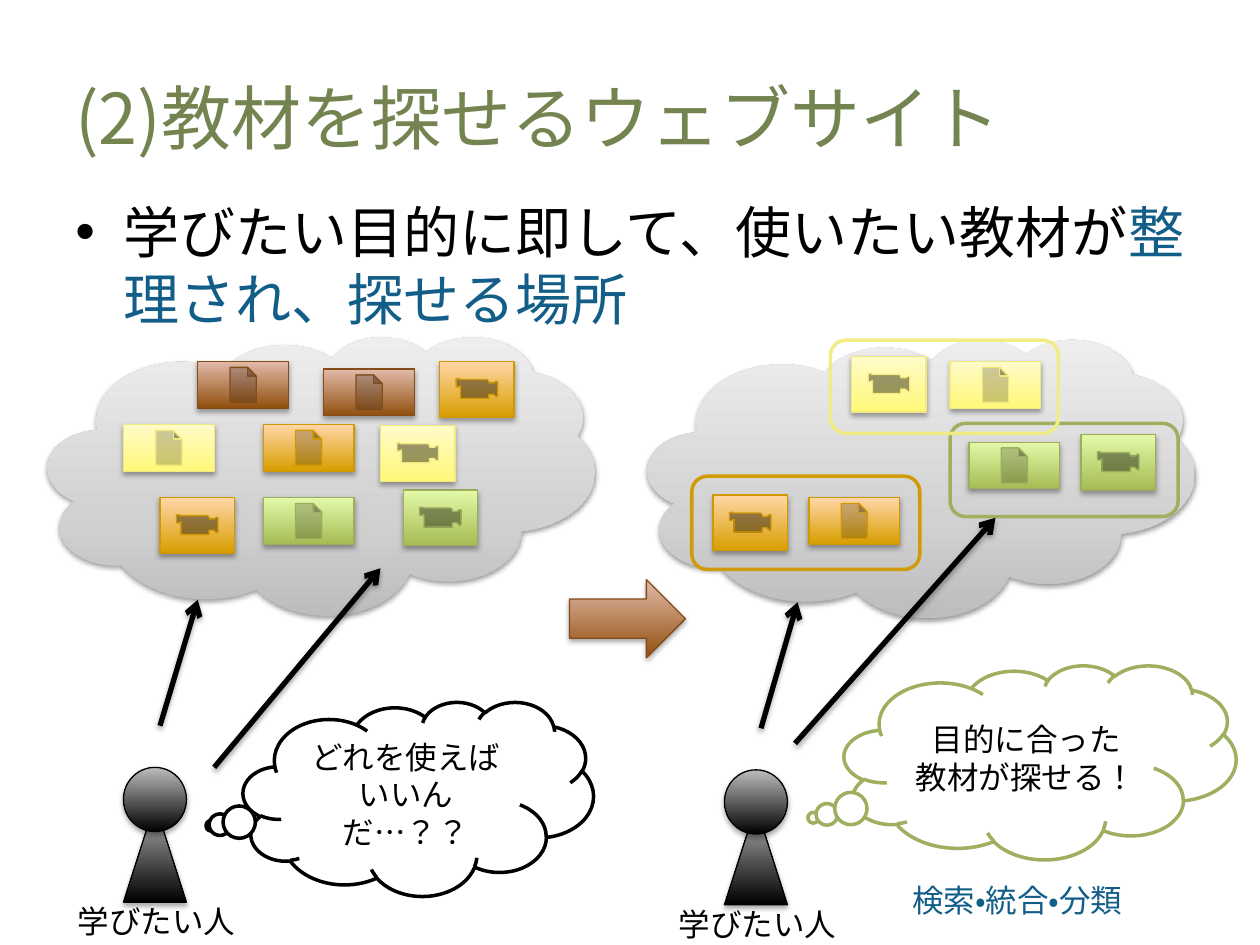
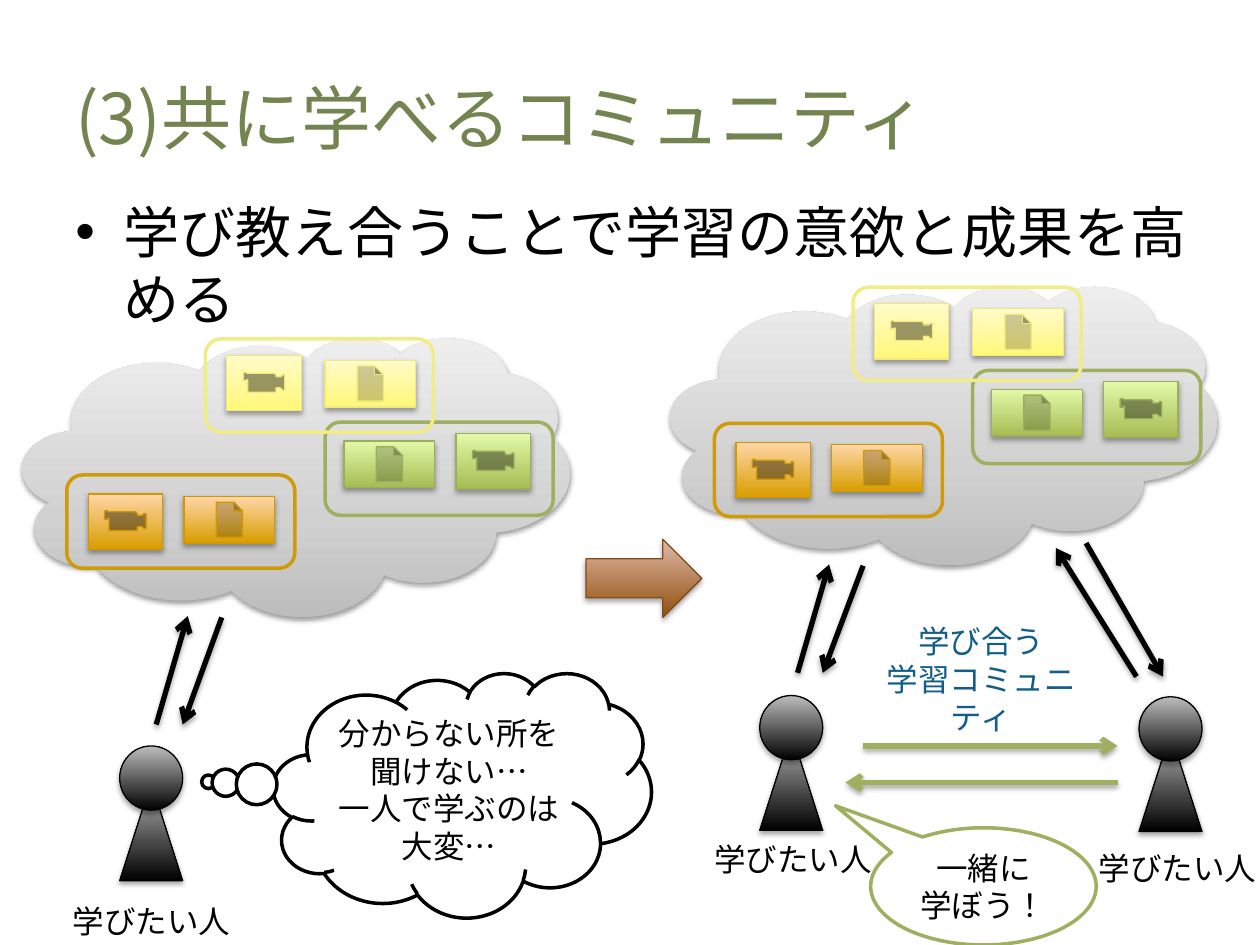
"""Build two slides on finding learning materials and learning together."""
from copy import deepcopy

from lxml import etree
from pptx import Presentation
from pptx.dml.color import RGBColor
from pptx.enum.lang import MSO_LANGUAGE_ID
from pptx.enum.shapes import MSO_CONNECTOR, MSO_SHAPE
from pptx.enum.text import MSO_ANCHOR, PP_ALIGN
from pptx.oxml.ns import qn
from pptx.util import Inches, Pt

CLOUD, CLOUD_CALLOUT = MSO_SHAPE.CLOUD, MSO_SHAPE.CLOUD_CALLOUT
OVAL_CALLOUT, BLOCK_ARROW = MSO_SHAPE.OVAL_CALLOUT, MSO_SHAPE.RIGHT_ARROW
MOVIE, DOCUMENT = MSO_SHAPE.ACTION_BUTTON_MOVIE, MSO_SHAPE.ACTION_BUTTON_DOCUMENT
TRIANGLE, OVAL, FRAME = MSO_SHAPE.ISOSCELES_TRIANGLE, MSO_SHAPE.OVAL, MSO_SHAPE.ROUNDED_RECTANGLE
STRAIGHT = MSO_CONNECTOR.STRAIGHT
LEFT, CENTER = PP_ALIGN.LEFT, PP_ALIGN.CENTER
TOP, MIDDLE = MSO_ANCHOR.TOP, MSO_ANCHOR.MIDDLE
JAPANESE = MSO_LANGUAGE_ID.JAPANESE

BLACK = RGBColor(0x00, 0x00, 0x00)
WHITE = RGBColor(0xFF, 0xFF, 0xFF)
OLIVE = RGBColor(0x73, 0x84, 0x50)
BLUE = RGBColor(0x12, 0x5E, 0x88)
LEAF = RGBColor(0x9E, 0xB0, 0x60)
AMBER = RGBColor(0xD0, 0x9A, 0x08)
LEMON = RGBColor(0xF2, 0xEC, 0x86)
SILVER = RGBColor(0xBD, 0xBD, 0xBD)
CLOUD_STOPS = [(0, SILVER), (0.35, RGBColor(0xD1, 0xD1, 0xD1)), (1, RGBColor(0xEE, 0xEE, 0xEE))]

PAINTS = {
    "green": (RGBColor(0xA5, 0xBC, 0x54), RGBColor(0xE3, 0xF9, 0xA8), RGBColor(0x9C, 0xAE, 0x5C)),
    "orange": (RGBColor(0xD8, 0x9E, 0x00), RGBColor(0xFF, 0xD6, 0xA7), RGBColor(0xD0, 0x99, 0x03)),
    "yellow": (RGBColor(0xFF, 0xF8, 0x79), RGBColor(0xFF, 0xFB, 0xC8), RGBColor(0xEF, 0xE9, 0x80)),
    "brown": (RGBColor(0x91, 0x4F, 0x0D), RGBColor(0xE1, 0xBA, 0xA9), RGBColor(0x82, 0x4D, 0x19)),
    "black": (BLACK, SILVER, BLACK),
}
HEADING_FONT, LABEL_FONT = "Noto Sans CJK JP", "Calibri"
CLOUD_SIZE, FRAME_SIZE, BLOCK_ARROW_SIZE = (4.34, 2.21), (1.81, 0.74), (0.92, 0.62)
MATERIAL_SIZES = {MOVIE: (0.59, 0.44), DOCUMENT: (0.72, 0.37)}
LEARNER = "学びたい人"

SCATTERED = [
    (MOVIE, "green", 2.82, 1.22), (DOCUMENT, "green", 1.71, 1.28),
    (MOVIE, "orange", 0.89, 1.28), (DOCUMENT, "orange", 1.71, 0.7),
    (MOVIE, "yellow", 2.64, 0.71), (DOCUMENT, "yellow", 0.6, 0.7),
    (MOVIE, "orange", 3.11, 0.2), (DOCUMENT, "brown", 2.19, 0.26),
    (DOCUMENT, "brown", 1.19, 0.2),
]
SORTED = [
    (MOVIE, "green", 3.44, 0.76), (DOCUMENT, "green", 2.55, 0.82),
    (MOVIE, "orange", 0.52, 1.24), (DOCUMENT, "orange", 1.28, 1.26),
    (MOVIE, "yellow", 1.62, 0.14), (DOCUMENT, "yellow", 2.4, 0.18),
]
FRAMES = [(AMBER, 0.35, 1.09), (LEAF, 2.4, 0.67), (LEMON, 1.45, 0.01)]

SLIDES = [
    {
        "title": "(2)教材を探せるウェブサイト",
        "body": [("学びたい目的に即して、使いたい教材が", BLACK), ("整理され、探せる場所", BLUE)],
        "clouds": [(0.38, 2.67, SCATTERED, []), (5.14, 2.69, SORTED, FRAMES)],
        "people": [(0.98, 6.09), (5.75, 6.11)],
        "arrows": [
            ((1.27, 5.76), (1.57, 4.76), BLACK), ((1.7, 6.09), (3.02, 4.51), BLACK),
            ((6.04, 5.78), (6.33, 4.78), BLACK), ((6.31, 5.9), (7.9, 4.11), BLACK),
        ],
        "callouts": [
            (CLOUD_CALLOUT, (1.93, 5.57, 2.78, 1.54), (-0.591, 0.139), BLACK,
             ["どれを使えば\nいいんだ…？？"]),
            (CLOUD_CALLOUT, (6.7, 5.28, 3.11, 1.54), (-0.579, 0.286), LEAF,
             ["目的に合った\n教材が探せる！"]),
        ],
        "labels": [
            ((0.52, 7.11, 1.59, 0.4), [LEARNER], BLACK, LEFT),
            ((5.29, 7.13, 1.59, 0.4), [LEARNER], BLACK, LEFT),
            ((7.14, 6.94, 2.67, 0.4), ["検索・統合・分類"], BLUE, LEFT),
        ],
        "block_arrow": (4.52, 4.6),
    },
    {
        "title": "(3)共に学べるコミュニティ",
        "body": [("学び教え合うことで学習の意欲と成果を高める", BLACK)],
        "clouds": [(0.18, 2.68, SORTED, FRAMES), (5.32, 2.27, SORTED, FRAMES)],
        "people": [(0.95, 5.92), (6.03, 5.52), (9.04, 5.53)],
        "arrows": [
            ((1.24, 5.75), (1.49, 4.89), BLACK), ((1.76, 4.9), (1.45, 5.75), BLACK),
            ((6.33, 5.34), (6.58, 4.48), BLACK), ((6.85, 4.49), (6.53, 5.34), BLACK),
            ((9.02, 5.37), (8.38, 4.35), BLACK), ((8.62, 4.31), (9.23, 5.37), BLACK),
            ((8.87, 6.21), (6.71, 6.21), LEAF), ((6.85, 5.92), (8.87, 5.92), LEAF),
        ],
        "callouts": [
            (CLOUD_CALLOUT, (2.17, 5.34, 3, 1.94), (-0.672, -0.054), BLACK,
             ["分からない所を聞けない…", "一人で学ぶのは大変…"]),
            (OVAL_CALLOUT, (6.91, 6.57, 1.79, 0.93), (-0.656, -0.688), LEAF,
             ["一緒に", "学ぼう！"]),
        ],
        "labels": [
            ((0.48, 7.11, 1.59, 0.4), [LEARNER], BLACK, LEFT),
            ((5.57, 6.62, 1.55, 0.4), [LEARNER], BLACK, LEFT),
            ((8.62, 6.69, 1.55, 0.4), [LEARNER], BLACK, LEFT),
            ((6.71, 4.89, 2.16, 0.71), ["学び合う", "学習コミュニティ"], BLUE, CENTER),
        ],
        "block_arrow": (4.65, 4.28),
    },
]


def add_span(para, text, size, color, font):
    span = para.add_run()
    span.text = text
    span.font.size = Pt(size)
    span.font.name = font
    span.font.color.rgb = color
    span.font.language_id = JAPANESE
    if font == HEADING_FONT:
        etree.SubElement(span.font._element, qn("a:ea"), typeface=font)


def write_lines(frame, paragraphs, color, align):
    frame.word_wrap = True
    for index, text in enumerate(paragraphs):
        para = frame.add_paragraph() if index else frame.paragraphs[0]
        para.alignment = align
        for number, line in enumerate(text.split("\n")):
            if number:
                para.add_line_break()
            add_span(para, line, 18, color, LABEL_FONT)


def add_text_box(page, at, anchor=TOP):
    frame = page.shapes.add_textbox(*map(Inches, at)).text_frame
    frame.word_wrap = True
    frame.vertical_anchor = anchor
    return frame


def add_heading(page, title, body):
    frame = add_text_box(page, (0.5, 0.3, 9, 1.25), MIDDLE)
    add_span(frame.paragraphs[0], title, 40, OLIVE, HEADING_FONT)
    para = add_text_box(page, (0.5, 1.52, 9.31, 0.99)).paragraphs[0]
    para.space_before = Pt(6.4)
    props = para._p.get_or_add_pPr()
    props.set("marL", str(Inches(0.38)))
    props.set("indent", str(-Inches(0.38)))
    etree.SubElement(props, qn("a:buFont"), typeface="Arial")
    etree.SubElement(props, qn("a:buChar"), char="•")
    for text, color in body:
        add_span(para, text, 32, color, HEADING_FONT)


def cast_shadow(shape, opacity=35, distance=1.8):
    effects = etree.SubElement(shape._element.spPr, qn("a:effectLst"))
    outer = etree.SubElement(
        effects, qn("a:outerShdw"), blurRad=str(Pt(3.1)), dist=str(Pt(distance)),
        dir="5400000", rotWithShape="0")
    tone = etree.SubElement(outer, qn("a:srgbClr"), val=str(BLACK))
    etree.SubElement(tone, qn("a:alpha"), val=str(opacity * 1000))


def fill_gradient(shape, stops):
    shape.fill.gradient()
    shape.fill.gradient_angle = 90
    stop_list = shape._element.spPr.find(".//" + qn("a:gsLst"))
    for _ in stops[2:]:
        stop_list.append(deepcopy(stop_list[-1]))
    for stop, (position, color) in zip(shape.fill.gradient_stops, stops):
        stop.position = position
        stop.color.rgb = color


def add_glossy(shapes, kind, at, paint):
    shape = shapes.add_shape(kind, *map(Inches, at))
    dark, light, edge = PAINTS[paint]
    fill_gradient(shape, [(0, dark), (1, light)])
    shape.line.color.rgb = edge
    shape.line.width = Pt(0.75)
    cast_shadow(shape)


def add_outlined(page, kind, at, color):
    shape = page.shapes.add_shape(kind, *map(Inches, at))
    shape.shadow.inherit = False
    shape.fill.background()
    shape.line.color.rgb = color
    shape.line.width = Pt(2)
    return shape


def add_cloud(page, left, top, materials, frames):
    cloud = page.shapes.add_shape(CLOUD, *map(Inches, (left, top, *CLOUD_SIZE)))
    fill_gradient(cloud, CLOUD_STOPS)
    cloud.line.fill.background()
    cast_shadow(cloud, 38, 1.6)
    for kind, paint, dx, dy in materials:
        add_glossy(page.shapes, kind, (left + dx, top + dy, *MATERIAL_SIZES[kind]), paint)
    for color, dx, dy in frames:
        add_outlined(page, FRAME, (left + dx, top + dy, *FRAME_SIZE), color)


def add_person(page, left, top):
    shapes = page.shapes.add_group_shape().shapes
    add_glossy(shapes, TRIANGLE, (left, top + 0.29, 0.5, 0.78), "black")
    add_glossy(shapes, OVAL, (left, top, 0.5, 0.51), "black")


def add_arrow(page, start, end, color):
    arrow = page.shapes.add_connector(STRAIGHT, *map(Inches, (*start, *end)))
    arrow.line.color.rgb = color
    arrow.line.width = Pt(3)
    etree.SubElement(arrow.line._get_or_add_ln(), qn("a:tailEnd"), type="arrow")
    cast_shadow(arrow)


def add_callout(page, kind, at, pointer, color, paragraphs):
    callout = add_outlined(page, kind, at, color)
    callout.fill.solid()
    callout.fill.fore_color.rgb = WHITE
    callout.adjustments[0], callout.adjustments[1] = pointer
    callout.text_frame.vertical_anchor = MIDDLE
    write_lines(callout.text_frame, paragraphs, BLACK, CENTER)


def build_slide(deck, content):
    page = deck.slides.add_slide(deck.slide_layouts[6])
    add_heading(page, content["title"], content["body"])
    for cloud in content["clouds"]:
        add_cloud(page, *cloud)
    for person in content["people"]:
        add_person(page, *person)
    for arrow in content["arrows"]:
        add_arrow(page, *arrow)
    for callout in content["callouts"]:
        add_callout(page, *callout)
    for at, paragraphs, color, align in content["labels"]:
        write_lines(add_text_box(page, at), paragraphs, color, align)
    add_glossy(page.shapes, BLOCK_ARROW, (*content["block_arrow"], *BLOCK_ARROW_SIZE), "brown")


def main():
    deck = Presentation()
    deck.slide_width, deck.slide_height = Inches(10), Inches(7.5)
    for content in SLIDES:
        build_slide(deck, content)
    deck.save("out.pptx")


if __name__ == "__main__":
    main()
